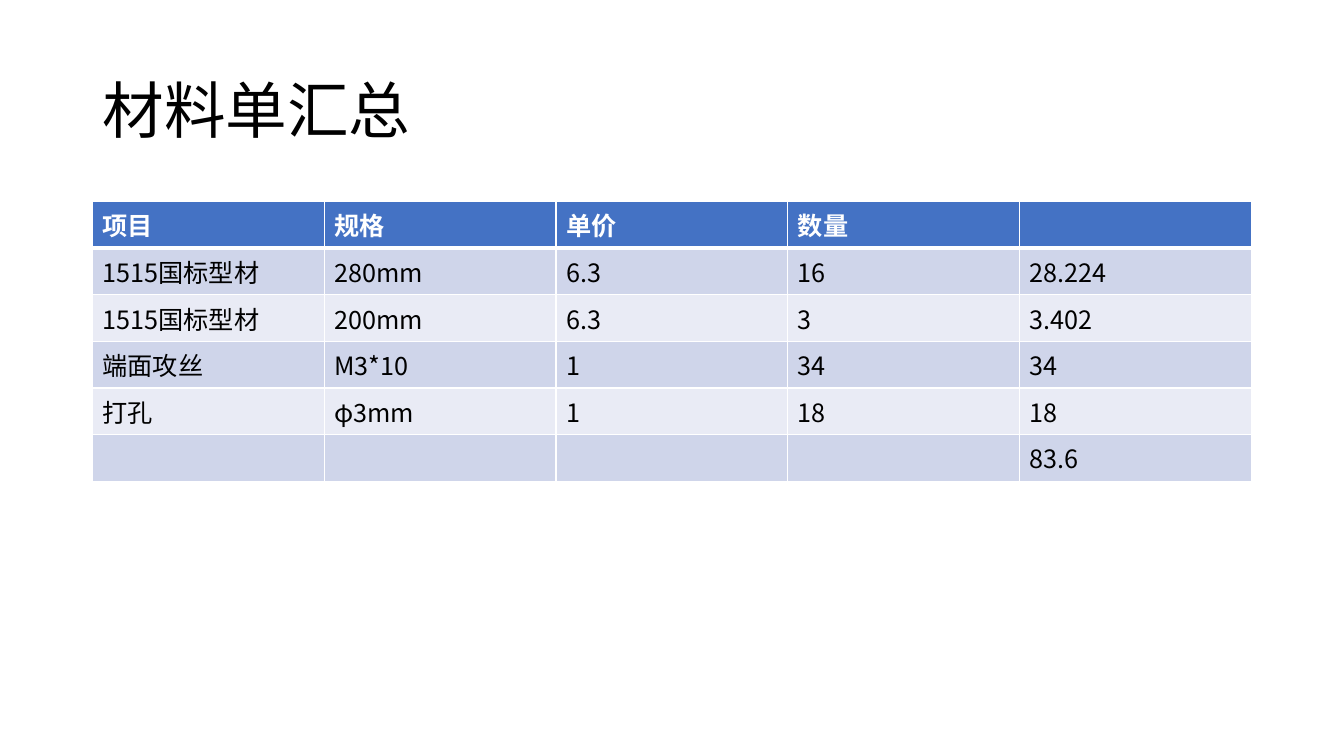
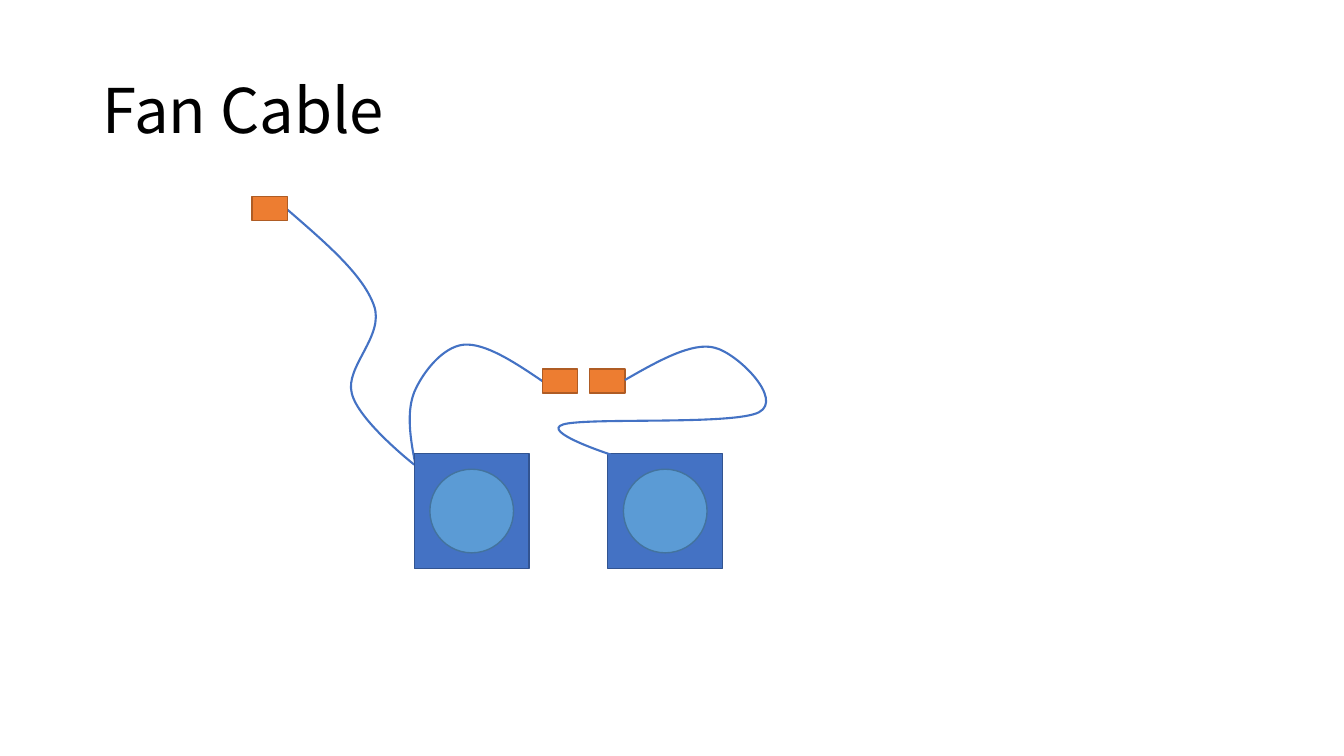
from lxml.etree import SubElement
from pptx import Presentation
from pptx.dml.color import RGBColor
from pptx.enum.shapes import MSO_SHAPE as SHAPE
from pptx.enum.text import MSO_ANCHOR as ANCHOR, MSO_AUTO_SIZE as AUTO, PP_ALIGN as ALIGN
from pptx.oxml import parse_xml
from pptx.oxml.ns import nsdecls, qn
from pptx.util import Inches, Pt

WIDTH, HEIGHT = 40 / 3, 7.5
CONTENT_W = 11.5
MARGIN = (WIDTH - CONTENT_W) / 2
FONT = "Noto Sans CJK SC"
BLACK, WHITE = "000000", "FFFFFF"
BLUE, SKY, ORANGE = "4472C4", "5B9BD5", "ED7D31"
BLUE_EDGE, SKY_EDGE, ORANGE_EDGE = "325491", "43739E", "AF5C24"
BANDS = "CFD5EA", "E9EBF5"

FAN, HUB = 1.14, 0.83
PLUG_W, PLUG_H = 0.35, 0.24
FAN_TOP, FAN_LEFTS = 4.5, (4.11, 6.03)
PLUGS = (5.38, 3.66), (2.5, 1.95), (5.85, 3.66)

# Each cable is a start point followed by cubic segments (control, control, end).
INPUT_CABLE = (2.84, 2.07), [
    ((3.22, 2.4), (3.6, 2.72), (3.71, 3.03)),
    ((3.82, 3.33), (3.42, 3.64), (3.49, 3.9)),
    ((3.55, 4.17), (4.11, 4.61), (4.11, 4.61)),
]
LINK_CABLE = (4.12, 4.6), [
    ((4.07, 4.35), (4.03, 4.09), (4.11, 3.89)),
    ((4.19, 3.7), (4.39, 3.44), (4.6, 3.42)),
    ((4.81, 3.4), (5.1, 3.59), (5.38, 3.78)),
]
SECOND_FAN_CABLE = (6.2, 3.77), [
    ((6.53, 3.58), (6.87, 3.39), (7.09, 3.45)),
    ((7.31, 3.5), (7.78, 3.96), (7.53, 4.09)),
    ((7.28, 4.22), (5.84, 4.14), (5.59, 4.21)),
    ((5.35, 4.28), (6.06, 4.51), (6.06, 4.51)),
]

MATERIALS = [
    ("项目", "规格", "单价", "数量", ""),
    ("1515国标型材", "280mm", "6.3", "16", "28.224"),
    ("1515国标型材", "200mm", "6.3", "3", "3.402"),
    ("端面攻丝", "M3*10", "1", "34", "34"),
    ("打孔", "φ3mm", "1", "18", "18"),
    ("", "", "", "", "83.6"),
]


def color(hex_code):
    return RGBColor.from_string(hex_code)


def add_run(p, text, size, hex_code, bold=False):
    r = p.add_run()
    r.text = text
    r.font.name, r.font.size, r.font.bold = FONT, Pt(size), bold
    r.font.color.rgb = color(hex_code)
    SubElement(r.font._element, qn("a:ea")).set("typeface", FONT)


def add_titled_slide(prs, title):
    s = prs.slides.add_slide(prs.slide_layouts[5])
    sp = s.shapes.title
    sp.left, sp.top = Inches(MARGIN), Inches(0.4)
    sp.width, sp.height = Inches(CONTENT_W), Inches(1.45)
    tf = sp.text_frame
    tf.auto_size, tf.vertical_anchor = AUTO.NONE, ANCHOR.MIDDLE
    p = tf.paragraphs[0]
    p.alignment, p.line_spacing = ALIGN.LEFT, 0.9
    add_run(p, title, 44, BLACK)
    return s


def set_borders(cell, bottom):
    """Draw white borders, 1 pt at the left, right and top."""
    tc_pr = cell._tc.get_or_add_tcPr()
    for i, (side, width) in enumerate(zip("LRTB", (1, 1, 1, bottom))):
        tc_pr.insert(i, parse_xml(
            f'<a:ln{side} {nsdecls("a")} w="{Pt(width)}"><a:solidFill>'
            f'<a:srgbClr val="{WHITE}"/></a:solidFill></a:ln{side}>'))


def add_material_table(s, rows):
    table = s.shapes.add_table(
        len(rows), len(rows[0]), Inches(MARGIN), Inches(2),
        Inches(CONTENT_W), Inches(2.43)).table
    for i, row in enumerate(rows):
        header = i == 0
        for j, text in enumerate(row):
            cell = table.cell(i, j)
            cell.fill.solid()
            cell.fill.fore_color.rgb = color(BLUE if header else BANDS[(i - 1) % 2])
            set_borders(cell, 3 if header else 1)
            if text:
                add_run(cell.text_frame.paragraphs[0], text, 18,
                        WHITE if header else BLACK, header)


def add_block(s, kind, left, top, width, height, fill, edge):
    sp = s.shapes.add_shape(kind, *map(Inches, (left, top, width, height)))
    sp.shadow.inherit = False
    sp.fill.solid()
    sp.fill.fore_color.rgb = color(fill)
    sp.line.color.rgb = color(edge)
    sp.line.width = Pt(1)


def add_fan(s, left, top):
    inset = (FAN - HUB) / 2
    add_block(s, SHAPE.RECTANGLE, left, top, FAN, FAN, BLUE, BLUE_EDGE)
    add_block(s, SHAPE.OVAL, left + inset, top + inset, HUB, HUB, SKY, SKY_EDGE)


def curve_bounds(start, segments, steps=24):
    """Return left, top, width and height of a chain of cubic segments."""
    points = [start]
    for c1, c2, end in segments:
        for k in range(1, steps + 1):
            t = k / steps
            u = 1 - t
            weights = u ** 3, 3 * u * u * t, 3 * u * t * t, t ** 3
            points.append([sum(w * v for w, v in zip(weights, axis))
                           for axis in zip(start, c1, c2, end)])
        start = end
    xs, ys = zip(*points)
    return min(xs), min(ys), max(xs) - min(xs), max(ys) - min(ys)


def add_cable(s, start, segments):
    """Add an open freeform whose straight segments are turned into cubic ones."""
    builder = s.shapes.build_freeform(*map(Inches, start))
    builder.add_line_segments(
        [tuple(map(Inches, end)) for _, _, end in segments], close=False)
    sp = builder.convert_to_shape()
    left, top, width, height = curve_bounds(start, segments)
    sp.left, sp.top = Inches(left), Inches(top)
    sp.width, sp.height = Inches(width), Inches(height)

    outline = next(sp._element.iter(qn("a:path")))
    outline.set("w", str(sp.width))
    outline.set("h", str(sp.height))
    for child in list(outline):
        outline.remove(child)
    for tag, points in [("a:moveTo", [start])] + [("a:cubicBezTo", c) for c in segments]:
        command = SubElement(outline, qn(tag))
        for x, y in points:
            pt = SubElement(command, qn("a:pt"))
            pt.set("x", str(Inches(x - left)))
            pt.set("y", str(Inches(y - top)))

    sp.shadow.inherit = False
    sp.fill.background()
    sp.line.color.rgb = color(BLUE)
    sp.line.width = Pt(1.5)


def add_fan_diagram(s):
    add_cable(s, *INPUT_CABLE)
    add_cable(s, *LINK_CABLE)
    for left in FAN_LEFTS:
        add_fan(s, left, FAN_TOP)
    for left, top in PLUGS:
        add_block(s, SHAPE.RECTANGLE, left, top, PLUG_W, PLUG_H, ORANGE, ORANGE_EDGE)
    add_cable(s, *SECOND_FAN_CABLE)


def main():
    prs = Presentation()
    prs.slide_width, prs.slide_height = Inches(WIDTH), Inches(HEIGHT)
    add_material_table(add_titled_slide(prs, "材料单汇总"), MATERIALS)
    add_fan_diagram(add_titled_slide(prs, "Fan Cable"))
    prs.save("out.pptx")


if __name__ == "__main__":
    main()
